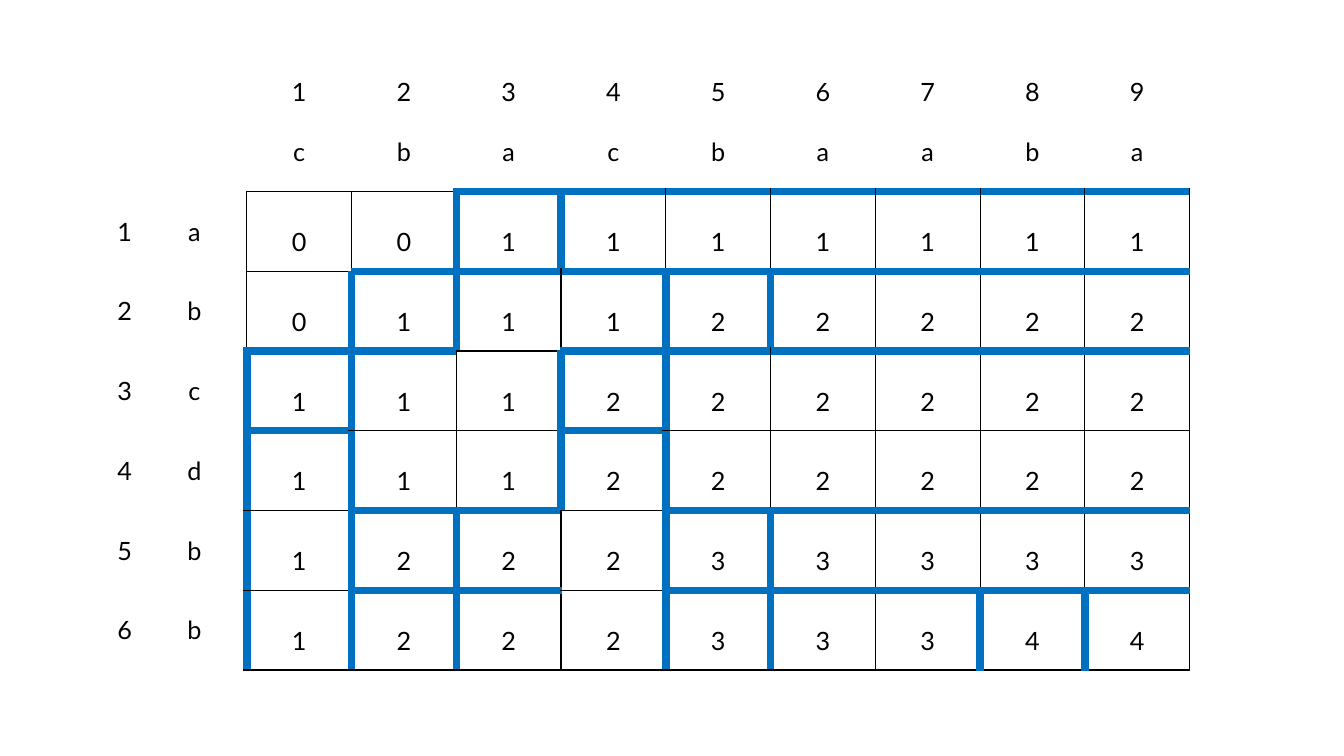
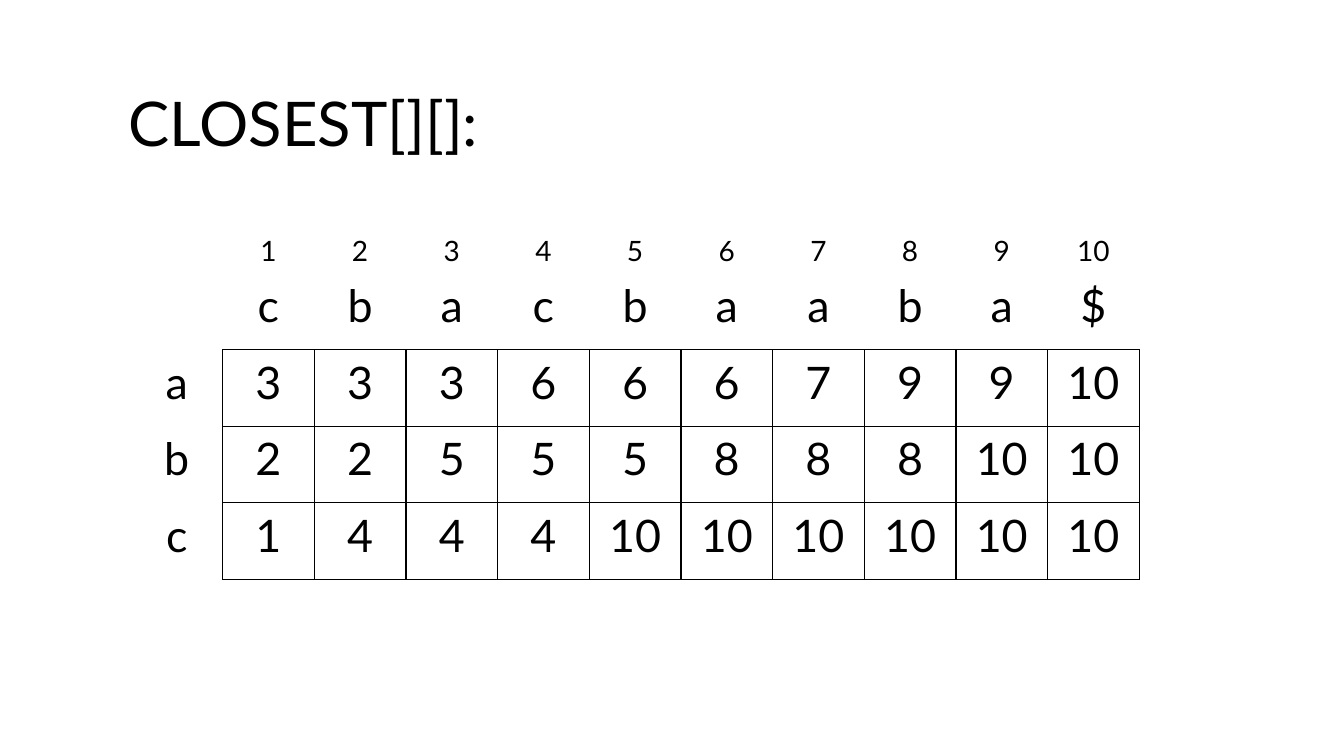
from pptx import Presentation
from pptx.dml.color import RGBColor
from pptx.enum.text import MSO_ANCHOR as Anchor, MSO_AUTO_SIZE as Fit, PP_ALIGN as Align
from pptx.oxml import parse_xml
from pptx.oxml.ns import nsdecls, qn
from pptx.util import Cm, Pt

FONT = "Lato"
BLACK = RGBColor(0x00, 0x00, 0x00)
BLUE = RGBColor(0x00, 0x70, 0xC0)
THIN, THICK = (BLACK, 1), (BLUE, 6)
NO_STYLE = "{2D5ABB26-0587-4C30-8999-92F81FD0307C}"

WORD = "cbacbaaba"
SIDE = "abcdbb"
LENGTHS = [
    [0, 0, 1, 1, 1, 1, 1, 1, 1],
    [0, 1, 1, 1, 2, 2, 2, 2, 2],
    [1, 1, 1, 2, 2, 2, 2, 2, 2],
    [1, 1, 1, 2, 2, 2, 2, 2, 2],
    [1, 2, 2, 2, 3, 3, 3, 3, 3],
    [1, 2, 2, 2, 3, 3, 3, 4, 4],
]

TITLE = "CLOSEST[][]:"
CLOSEST = {
    "a": [3, 3, 3, 6, 6, 6, 7, 9, 9, 10],
    "b": [2, 2, 5, 5, 5, 8, 8, 8, 10, 10],
    "c": [1, 4, 4, 4, 10, 10, 10, 10, 10, 10],
}


def style(para, size, align=Align.CENTER):
    para.alignment = align
    for run in para.runs:
        run.font.name, run.font.size = FONT, Pt(size)
        run.font.color.rgb = BLACK


def border(cell, tag, line):
    color, width = line
    cell._tc.get_or_add_tcPr().append(parse_xml(
        f'<a:{tag} {nsdecls("a")} w="{Pt(width)}" cap="flat" cmpd="sng">'
        f'<a:solidFill><a:srgbClr val="{color}"/></a:solidFill>'
        f'<a:prstDash val="solid"/></a:{tag}>'))


def add_grid(slide, values, tops, sides, place, pitch, look, edge):
    """Draw values with header rows above and label columns on the left.

    look(row, col) gives size, anchor, alignment and line spacing;
    edge(row, col, down) gives the line after a cell. Both count from
    the first value, so headers have negative indices.
    """
    up, left = len(tops), len(sides[0])
    rows = [[""] * left + list(top) for top in tops]
    rows += [list(side) + line for side, line in zip(sides, values)]
    wide, high = len(rows[0]), len(rows)
    table = slide.shapes.add_table(
        high, wide, *place, pitch[0] * wide, pitch[1] * high).table
    table.first_row = table.horz_banding = False
    table._tbl.tblPr.find(qn("a:tableStyleId")).text = NO_STYLE
    for row, line in enumerate(rows, -up):
        for col, text in enumerate(line, -left):
            cell = table.cell(row + up, col + left)
            size, cell.vertical_anchor, align, space = look(row, col)
            cell.text_frame.text = str(text)
            para = cell.text_frame.paragraphs[0]
            para.line_spacing = space
            style(para, size, align)
            if row >= 0 and col >= -1:
                border(cell, "lnR", edge(row, col, False))
            if col >= 0 and row >= -1:
                border(cell, "lnB", edge(row, col, True))
            cell.fill.background()


def length_look(row, col):
    if row >= 0 and col >= 0:
        return 18, Anchor.TOP, Align.CENTER, 2.0
    anchor = Anchor.BOTTOM if row == -2 else Anchor.MIDDLE
    return 18, anchor, Align.RIGHT if col == -2 else Align.CENTER, 1.0


def length_edge(row, col, down):
    """Thick where the length grows across the two cells up to the next one."""
    line = [cells[col] for cells in LENGTHS] if down else LENGTHS[row]
    after = (row if down else col) + 1
    if after == len(line):
        return THIN
    before = line[after - 2] if after >= 2 else 0
    return THICK if line[after] > before else THIN


def closest_look(row, col):
    if row == -2:
        return 20, Anchor.BOTTOM, Align.CENTER, 1.0
    return 32, Anchor.TOP, Align.CENTER, 1.0


def heads(word):
    return [range(1, len(word) + 1), word]


def main():
    deck = Presentation()
    deck.slide_width, deck.slide_height = Cm(33.87), Cm(19.05)

    slide = deck.slides.add_slide(deck.slide_layouts[6])
    add_grid(slide, LENGTHS, heads(WORD), list(enumerate(SIDE, 1)),
             (Cm(0.94), Cm(0.81)), (Cm(2.64), Cm(2.01)),
             length_look, length_edge)

    slide = deck.slides.add_slide(deck.slide_layouts[5])
    title = slide.shapes.title
    title.left, title.top = Cm(2.74), Cm(2.01)
    title.width, title.height = Cm(9.83), Cm(2.13)
    frame = title.text_frame
    frame.text = TITLE
    frame.word_wrap, frame.auto_size = False, Fit.NONE
    frame.vertical_anchor = Anchor.TOP
    style(frame.paragraphs[0], 44)
    add_grid(slide, list(CLOSEST.values()), heads(WORD + "$"), list(CLOSEST),
             (Cm(3.3), Cm(4.95)), (Cm(2.31), Cm(1.93)),
             closest_look, lambda row, col, down: THIN)

    deck.save("out.pptx")


if __name__ == "__main__":
    main()
